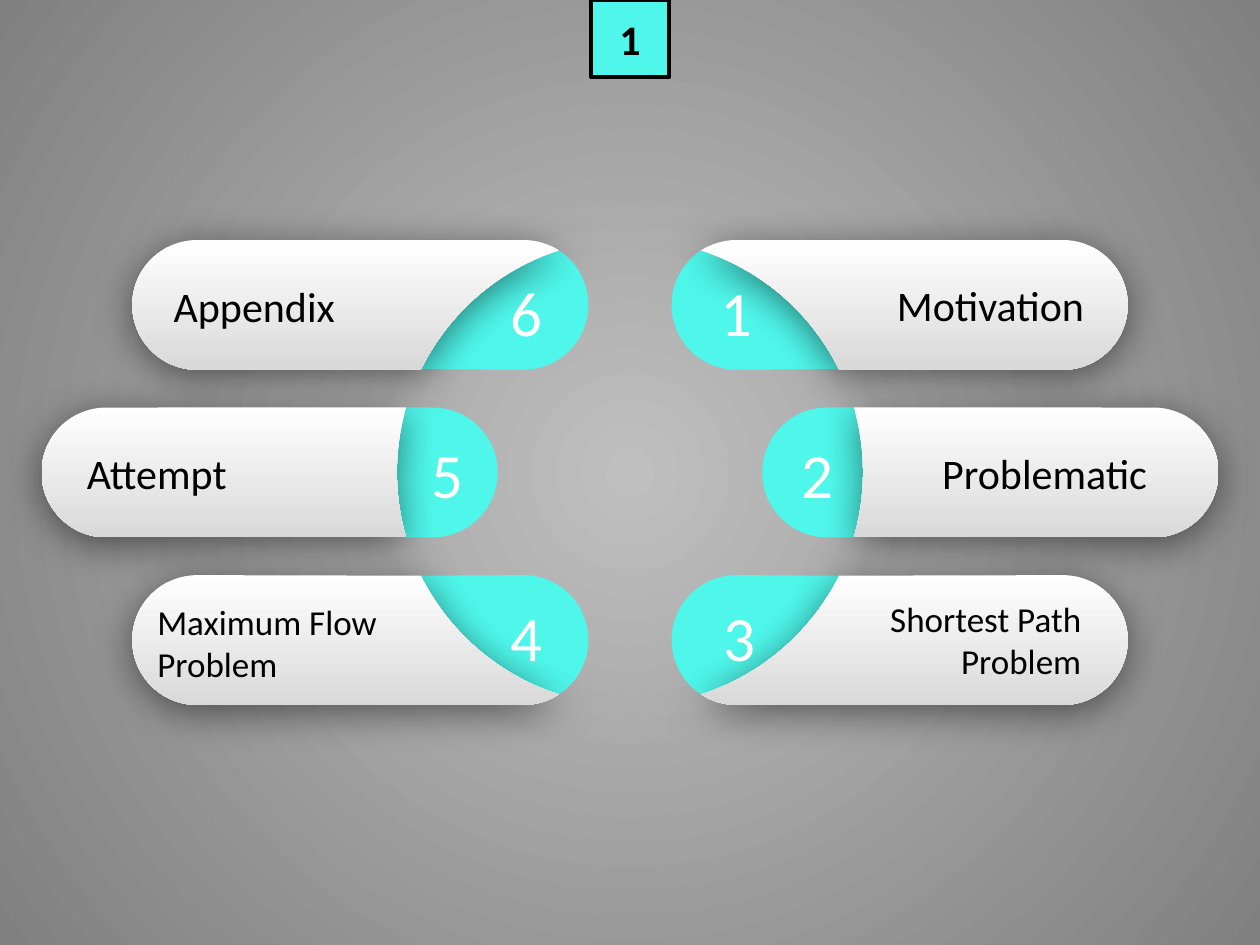
from dataclasses import dataclass
from math import ceil, cos, radians, sin, tan

from lxml.etree import SubElement
from pptx import Presentation
from pptx.dml.color import RGBColor
from pptx.enum.shapes import MSO_SHAPE
from pptx.enum.text import MSO_ANCHOR, MSO_AUTO_SIZE, PP_ALIGN
from pptx.oxml.ns import qn
from pptx.util import Inches, Pt

AQUA = RGBColor(0x4F, 0xF7, 0xEB)
WHITE = RGBColor(0xFF, 0xFF, 0xFF)
BLACK = RGBColor(0, 0, 0)
PILL_GRAY = RGBColor(0xD9, 0xD9, 0xD9)
LIGHT_GRAY = RGBColor(0xBF, 0xBF, 0xBF)
DARK_GRAY = RGBColor(0x80, 0x80, 0x80)

FONT = "Calibri"
CENTER_X, CENTER_Y = 5, 3.75
RING_RADIUS = 1.85
PILL_WIDTH, PILL_RADIUS = 3.62, 0.515
ROW_PITCH = 1.33

Points = list[tuple[float, float]]


@dataclass
class Row:
    """A pill right of the ring's center; angles are clockwise degrees."""
    offset: int        # rows below the center
    inner: float       # distance from the center to the pill's inner end
    ring_start: float  # where the ring enters and leaves the pill
    ring_end: float
    cap_end: float     # where the ring meets the pill's round inner end


@dataclass
class Label:
    text: str
    left: float
    top: float
    width: float
    height: float
    size: int = 24
    color: RGBColor = BLACK
    wrap: bool = False
    align: PP_ALIGN = PP_ALIGN.LEFT


ROWS = [
    Row(-1, 0.33, -72.3, -26.3, 236.5),
    Row(0, 1.05, -16.2, 16.2, 270),
    Row(1, 0.33, -72.3, -26.3, 236.5),
]

NUMBERS = [
    Label(text, left, top, 0.46, 0.71, 36, WHITE)
    for text, left, top in [
        ("1", 5.62, 2.12), ("2", 6.26, 3.41), ("3", 5.64, 4.7),
        ("4", 3.95, 4.7), ("5", 3.33, 3.41), ("6", 3.95, 2.12),
    ]
]
TOPICS = [
    Label("Shortest Path Problem", 6.1, 4.69, 2.58, 0.77, 20, wrap=True, align=PP_ALIGN.RIGHT),
    Label("Problematic", 7.38, 3.5, 1.84, 0.5),
    Label("Motivation", 7.02, 2.17, 1.71, 0.5),
    Label("Maximum Flow Problem", 1.15, 4.72, 2.31, 0.77, 20, wrap=True),
    Label("Attempt", 0.59, 3.5, 3.02, 0.5, wrap=True),
    Label("Appendix", 1.28, 2.18, 1.5, 0.5),
]


def arc(x: float, y: float, radius: float, start: float, end: float) -> Points:
    """Bezier curves of at most 90 degrees, four points each."""
    count = ceil(abs(end - start) / 90)
    step = radians(end - start) / count
    pull = 4 / 3 * tan(step / 4)
    points = []
    for i in range(count):
        a = radians(start) + i * step
        b = a + step
        units = [
            (cos(a), sin(a)),
            (cos(a) - pull * sin(a), sin(a) + pull * cos(a)),
            (cos(b) + pull * sin(b), sin(b) - pull * cos(b)),
            (cos(b), sin(b)),
        ]
        points += [(x + radius * u, y + radius * v) for u, v in units]
    return points


def split_pill(row: Row) -> tuple[Points, Points]:
    """Outlines of the part inside the ring and the part outside it."""
    y = -abs(row.offset) * ROW_PITCH
    inner_x = row.inner + PILL_RADIUS
    outer_x = row.inner + PILL_WIDTH - PILL_RADIUS
    ring = arc(0, 0, RING_RADIUS, row.ring_start, row.ring_end)
    cap = ring + arc(inner_x, y, PILL_RADIUS, 90, row.cap_end)
    body = ring[::-1]
    if row.cap_end < 270:
        body += arc(inner_x, y, PILL_RADIUS, row.cap_end, 270)
    body += arc(outer_x, y, PILL_RADIUS, -90, 90)
    return cap, body


def bend_lines(shape) -> None:
    """Turn the three lines after each curve's start into one Bezier curve."""
    outline = next(shape._element.iter(qn("a:moveTo"))).getparent()
    lines = outline.findall(qn("a:lnTo"))
    for i in range(0, len(lines), 4):
        curve = SubElement(outline, qn("a:cubicBezTo"))
        lines[i].addprevious(curve)
        for line in lines[i:i + 3]:
            curve.append(line[0])
            outline.remove(line)


def add_outline(page, points: Points, side: int, flip: int):
    """Draw an upper-right outline, mirrored by side (-1 left) and flip (-1 lower)."""
    placed = [
        (Inches(CENTER_X + side * x), Inches(CENTER_Y + flip * y)) for x, y in points
    ]
    builder = page.shapes.build_freeform(*placed[0])
    builder.add_line_segments(placed[1:], close=True)
    shape = builder.convert_to_shape()
    bend_lines(shape)
    shape.shadow.inherit = False
    shape.line.fill.background()
    return shape


def set_gradient(fill, first: RGBColor, last: RGBColor) -> None:
    fill.gradient()
    for stop, color, position in zip(fill.gradient_stops, (first, last), (0, 1)):
        stop.color.rgb = color
        stop.position = position


def style_body(shape) -> None:
    set_gradient(shape.fill, WHITE, PILL_GRAY)
    shape.fill.gradient_angle = 270
    effects = shape._element.spPr.find(qn("a:effectLst"))
    shadow = SubElement(
        effects, qn("a:outerShdw"), blurRad=str(Pt(23)), dist=str(Pt(4)),
        dir="5400000", algn="ctr", rotWithShape="0",
    )
    color = SubElement(shadow, qn("a:srgbClr"), val=str(BLACK))
    SubElement(color, qn("a:alpha"), val="50000")


def set_background(page) -> None:
    fill = page.background.fill
    set_gradient(fill, LIGHT_GRAY, DARK_GRAY)
    linear = next(page._element.iter(qn("a:lin")))
    gradient = linear.getparent()
    gradient.remove(linear)
    radial = SubElement(gradient, qn("a:path"), path="circle")
    SubElement(radial, qn("a:fillToRect"), l="50000", t="50000", r="50000", b="50000")


def write(frame, text: str, size: int, color: RGBColor, align: PP_ALIGN, bold: bool = False) -> None:
    para = frame.paragraphs[0]
    para.alignment = align
    span = para.add_run()
    span.text = text
    span.font.name = FONT
    span.font.size = Pt(size)
    span.font.bold = bold
    span.font.color.rgb = color


def add_label(page, label: Label) -> None:
    box = page.shapes.add_textbox(
        Inches(label.left), Inches(label.top), Inches(label.width), Inches(label.height)
    )
    frame = box.text_frame
    frame.word_wrap = label.wrap
    frame.auto_size = MSO_AUTO_SIZE.SHAPE_TO_FIT_TEXT
    write(frame, label.text, label.size, label.color, label.align)


def add_page_number(page) -> None:
    badge = page.shapes.add_shape(
        MSO_SHAPE.RECTANGLE, Inches(4.69), 0, Inches(0.62), Inches(0.61)
    )
    badge.shadow.inherit = False
    badge.fill.solid()
    badge.fill.fore_color.rgb = AQUA
    badge.line.color.rgb = BLACK
    badge.line.width = Pt(2.25)
    badge.text_frame.vertical_anchor = MSO_ANCHOR.MIDDLE
    write(badge.text_frame, "1", 24, BLACK, PP_ALIGN.CENTER, bold=True)


def main() -> None:
    deck = Presentation()
    deck.slide_width, deck.slide_height = Inches(10), Inches(7.5)
    page = deck.slides.add_slide(deck.slide_layouts[6])
    set_background(page)
    pieces = [
        (*split_pill(row), side, -1 if row.offset > 0 else 1)
        for row in ROWS for side in (-1, 1)
    ]
    for cap, _, side, flip in pieces:
        shape = add_outline(page, cap, side, flip)
        shape.fill.solid()
        shape.fill.fore_color.rgb = AQUA
    for _, body, side, flip in pieces:
        style_body(add_outline(page, body, side, flip))
    for label in NUMBERS + TOPICS:
        add_label(page, label)
    add_page_number(page)
    deck.save("out.pptx")


if __name__ == "__main__":
    main()
